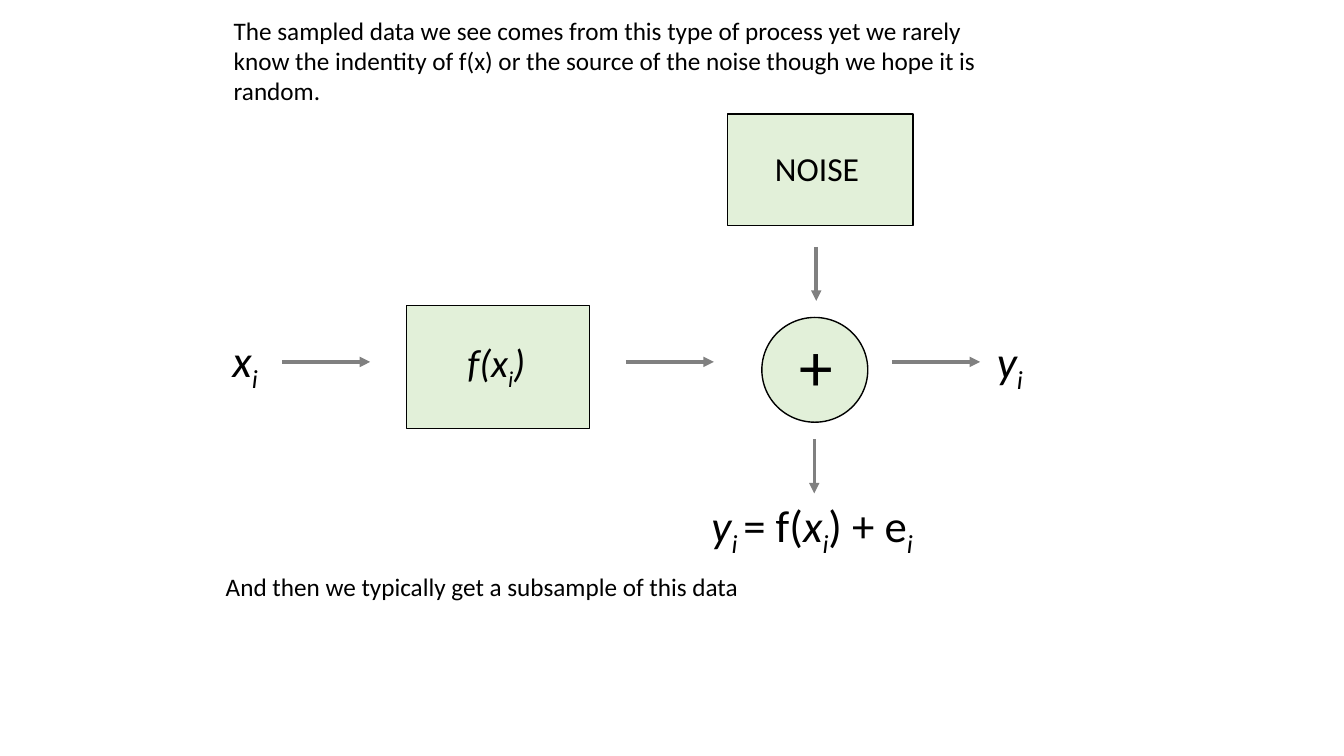
from pptx import Presentation
from pptx.dml.color import RGBColor
from pptx.enum.shapes import MSO_CONNECTOR, MSO_SHAPE
from pptx.enum.text import MSO_AUTO_SIZE
from pptx.oxml.ns import qn
from pptx.util import Cm, Pt
from lxml.etree import SubElement

BLACK = RGBColor(0x00, 0x00, 0x00)
GRAY = RGBColor(0x80, 0x80, 0x80)
PALE_GREEN = RGBColor(0xE2, 0xF0, 0xD9)


class DiagramSlide:
    font_name = "Calibri"
    arrow_width = Pt(2.5)
    outline_width = Pt(1)

    def __init__(self, presentation):
        self.slide = presentation.slides.add_slide(presentation.slide_layouts[6])

    def block(self, preset, left, top, width, height):
        shape = self.slide.shapes.add_shape(
            preset, Cm(left), Cm(top), Cm(width), Cm(height))
        shape.shadow.inherit = False
        shape.fill.solid()
        shape.fill.fore_color.rgb = PALE_GREEN
        shape.line.color.rgb = BLACK
        shape.line.width = self.outline_width

    def arrow(self, left, top, across=0, down=0):
        connector = self.slide.shapes.add_connector(
            MSO_CONNECTOR.STRAIGHT,
            Cm(left), Cm(top), Cm(left + across), Cm(top + down))
        connector.line.color.rgb = GRAY
        connector.line.width = self.arrow_width
        line = connector.line._get_or_add_ln()
        SubElement(line, qn("a:tailEnd"), type="triangle")
        SubElement(connector._element.spPr, qn("a:effectLst"))

    def text_frame(self, left, top, width, height, wrap=True):
        text_box = self.slide.shapes.add_textbox(
            Cm(left), Cm(top), Cm(width), Cm(height))
        frame = text_box.text_frame
        frame.word_wrap = wrap
        frame.auto_size = MSO_AUTO_SIZE.SHAPE_TO_FIT_TEXT
        return frame

    def style(self, paragraph, size):
        paragraph.font.name = self.font_name
        paragraph.font.size = Pt(size)
        paragraph.font.color.rgb = BLACK

    def text(self, content, size, left, top, width, height, wrap=True):
        frame = self.text_frame(left, top, width, height, wrap)
        frame.text = content
        for paragraph in frame.paragraphs:
            self.style(paragraph, size)

    def formula(self, parts, size, left, top, width, height):
        paragraph = self.text_frame(left, top, width, height).paragraphs[0]
        self.style(paragraph, size)
        for content, kind in parts:
            run = paragraph.add_run()
            run.text = content
            run.font.italic = kind != "upright"
            if kind == "subscript":
                run._r.get_or_add_rPr().set("baseline", "-25000")


def main():
    presentation = Presentation()
    presentation.slide_width = Cm(33.87)
    presentation.slide_height = Cm(19.05)
    diagram = DiagramSlide(presentation)

    index = ("i", "subscript")
    x, y = ("x", "italic"), ("y", "italic")

    diagram.block(MSO_SHAPE.RECTANGLE, 10.24, 7.7, 4.62, 3.1)
    diagram.block(MSO_SHAPE.RECTANGLE, 18.34, 2.87, 4.67, 2.82)
    diagram.block(MSO_SHAPE.OVAL, 19.2, 8, 2.67, 2.64)

    for left in (7.11, 15.77, 22.48):
        diagram.arrow(left, 9.12, across=2.22)
    for left, top in ((20.57, 6.22), (20.52, 11.07)):
        diagram.arrow(left, top, down=1.36)

    diagram.formula([x, index], 32, 5.61, 8.26, 1.17, 1.63)
    diagram.formula([("f(x", "italic"), index, (")", "italic")],
                    28, 11.53, 8.41, 2.01, 1.45)
    diagram.formula([y, index], 32, 24.87, 8.28, 1.19, 1.63)
    diagram.formula([y, ("i ", "subscript"), ("= f(", "upright"), x, index,
                     (") + e", "upright"), index],
                    32, 17.68, 12.42, 7.01, 1.63)

    diagram.text("NOISE", 24, 19.28, 3.61, 2.67, 1.27)
    diagram.text("+", 48, 19.89, 8.05, 1.32, 2.31)
    diagram.text(
        "The sampled data we see comes from this type of process yet we rarely\n"
        "know the indentity of f(x) or the source of the noise though we hope "
        "it is random.",
        18, 5.64, 0.25, 20.7, 2.57)
    diagram.text("And then we typically get a subsample of this data",
                 18, 5.44, 14.27, 13.59, 1.02, wrap=False)

    presentation.save("out.pptx")


if __name__ == "__main__":
    main()
